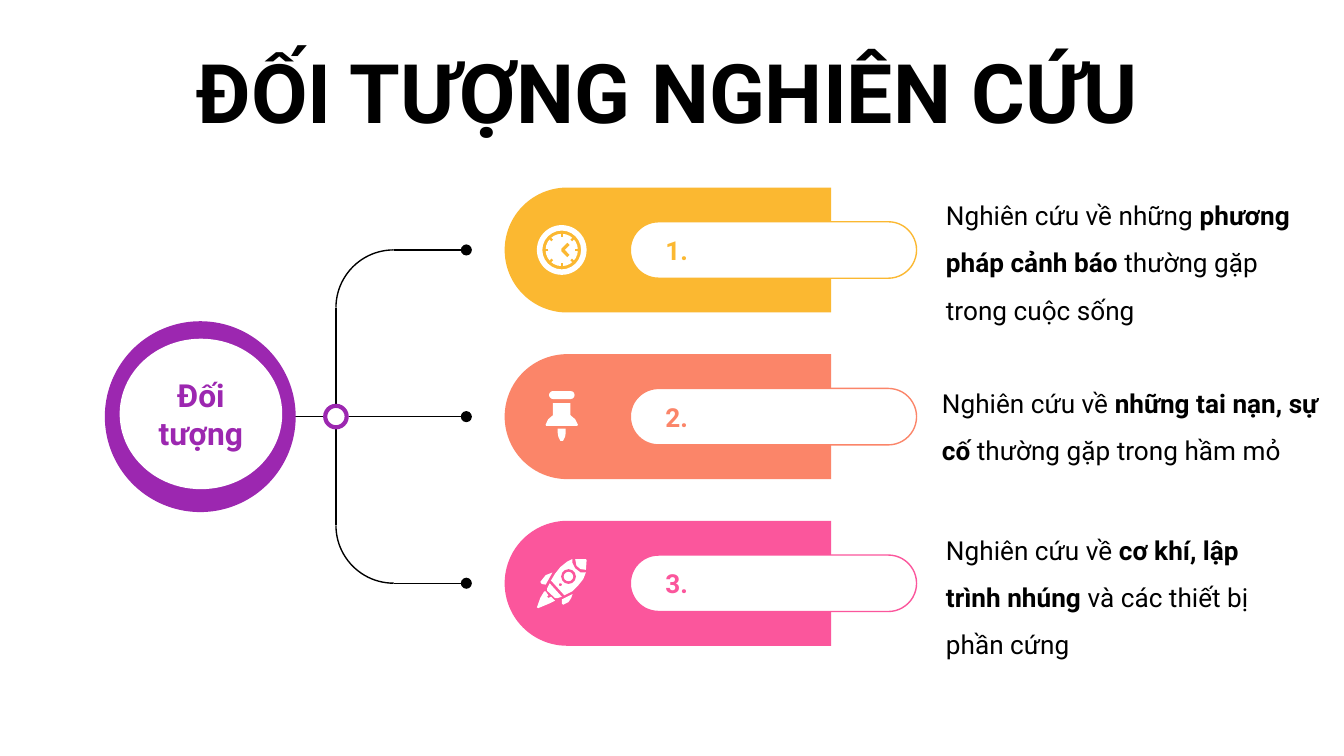
import math

from lxml import etree
from pptx import Presentation
from pptx import util as u
from pptx.dml.color import RGBColor
from pptx.enum import shapes, text
from pptx.oxml.ns import qn

COLORS = {"black": "000000", "white": "FFFFFF", "purple": "9C27B0",
          "amber": "FBB831", "coral": "FB8569", "pink": "FB569C"}
FONT = "Roboto"
KIND = shapes.MSO_SHAPE
TOP, MIDDLE = text.MSO_ANCHOR.TOP, text.MSO_ANCHOR.MIDDLE
LEFT, CENTER = text.PP_ALIGN.LEFT, text.PP_ALIGN.CENTER

FIRST_ROW, ROW_STEP = 1.86, 1.24
ROWS = [FIRST_ROW + i * ROW_STEP for i in range(3)]
TRUNK_X, BEND, DOT_X = 2.5, 0.43, 3.47
ICON_X = 4.18
TIGHT, EVEN = (0.1, 0.05, 0.1, 0.05), (0.1, 0.1, 0.1, 0.1)


def rgb(name):
    return RGBColor.from_string(COLORS[name])


def write(frame, words, size=14, color="black", bold=False, align=LEFT,
          anchor=TOP, spacing=None, insets=TIGHT):
    """Fill a text frame; parts between ** marks are bold."""
    frame.word_wrap = True
    frame.auto_size = text.MSO_AUTO_SIZE.NONE
    frame.vertical_anchor = anchor
    (frame.margin_left, frame.margin_top,
     frame.margin_right, frame.margin_bottom) = map(u.Inches, insets)
    para = frame.paragraphs[0]
    para.alignment = align
    if spacing:
        para.line_spacing = spacing
    for i, part in enumerate(words.split("**")):
        span = para.add_run()
        span.text = part
        span.font.name = FONT
        span.font.size = u.Pt(size)
        span.font.bold = bold or i % 2 == 1
        span.font.color.rgb = rgb(color)


class Slide:
    def __init__(self, deck):
        self.page = deck.slides.add_slide(deck.slide_layouts[5])
        self.shapes = self.page.shapes

    def paint(self, shape, fill=None, line=None, weight=0.75):
        shape.shadow.inherit = False
        if fill:
            shape.fill.solid()
            shape.fill.fore_color.rgb = rgb(fill)
        else:
            shape.fill.background()
        if line:
            shape.line.color.rgb = rgb(line)
            shape.line.width = u.Pt(weight)
        else:
            shape.line.fill.background()
        return shape

    def title(self, words, left, top, width, height, **style):
        box = self.shapes.title
        box.left, box.top, box.width, box.height = map(
            u.Inches, (left, top, width, height))
        write(box.text_frame, words, **style)

    def shape(self, kind, left, top, width, height, adjust=(), **style):
        shape = self.shapes.add_shape(
            kind, *map(u.Inches, (left, top, width, height)))
        for i, value in enumerate(adjust):
            shape.adjustments[i] = value
        return self.paint(shape, **style)

    def centered(self, kind, x, y, width, height, **style):
        return self.shape(kind, x - width / 2, y - height / 2, width, height, **style)

    def text(self, words, left, top, width, height, **style):
        box = self.shapes.add_textbox(*map(u.Inches, (left, top, width, height)))
        write(box.text_frame, words, **style)

    def line(self, x1, y1, x2, y2, color="black", weight=0.75, dot=False):
        line = self.shapes.add_connector(
            shapes.MSO_CONNECTOR.STRAIGHT, *map(u.Inches, (x1, y1, x2, y2)))
        line.line.color.rgb = rgb(color)
        line.line.width = u.Pt(weight)
        if dot:
            outline = line._element.spPr.find(qn("a:ln"))
            etree.SubElement(outline, qn("a:tailEnd"), type="oval")
        etree.SubElement(line._element.spPr, qn("a:effectLst"))

    def outline(self, x, y, points, close=True, **style):
        """Draw a polygon whose points are hundredths of an inch from (x, y)."""
        # The builder keeps whole numbers only, so it counts in EMU.
        spots = [(u.Inches(x + dx / 100), u.Inches(y + dy / 100))
                 for dx, dy in points]
        builder = self.shapes.build_freeform(*spots[0])
        builder.add_line_segments(spots[1:], close=close)
        self.paint(builder.convert_to_shape(), **style)


def draw_clock(slide, x, y, color):
    slide.centered(KIND.DONUT, x, y, 0.37, 0.37, adjust=[0.11], fill="white")
    slide.centered(KIND.OVAL, x, y, 0.24, 0.24, fill="white")
    for i in range(8):
        dx, dy = math.cos(i * math.pi / 4), math.sin(i * math.pi / 4)
        slide.line(x + 0.1 * dx, y + 0.1 * dy, x + 0.13 * dx, y + 0.13 * dy,
                   color=color, weight=1.25)
    slide.outline(x, y, [(5, -4.5), (0.5, 0), (5, 4.5)], close=False,
                  line=color, weight=1.75)


def draw_pin(slide, x, y, color):
    slide.centered(KIND.ROUNDED_RECTANGLE, x, y - 0.16, 0.19, 0.06,
                   adjust=[0.5], fill="white")
    slide.outline(x, y, [(-6.5, -10), (-6.5, -1), (-10, 2), (-12, 6), (-11.5, 7),
                         (11.5, 7), (12, 6), (10, 2), (6.5, -1), (6.5, -10)],
                  fill="white")
    slide.outline(x, y, [(-3, 9), (-3, 12), (-2.5, 15), (-1, 18), (1, 18),
                         (2.5, 15), (3, 12), (3, 9)], fill="white")


def draw_rocket(slide, x, y, color):
    parts = [
        [(8, -18), (4, -16), (-1, -12), (-5, -7), (-8, -2), (2, 9),
         (8, 6), (12, 2), (16, -3), (18, -8), (14, -8), (10, -11),
         (8, -15)],                                                   # body
        [(10, -18), (18, -18), (18.5, -17), (18, -10), (14, -10.5),
         (11, -13)],                                                  # nose
        [(-9, 0), (-11, 4), (-11, 5.5), (-5, 11), (-3, 11), (0, 10)],  # base
        [(-7, -8), (-12, -6), (-16, -1), (-15, 0.5), (-12, 1)],       # left fin
        [(8, 8), (0, 12), (0, 15), (1, 16), (5, 14), (7, 11)],        # lower fin
        [(-13, 6), (-16, 11), (-18.5, 18), (-17.5, 18.5), (-9, 15),
         (-5, 13), (-8, 10), (-10, 11), (-11, 10), (-10, 9), (-12, 6)],  # flame
    ]
    for points in parts:
        slide.outline(x, y, points, fill="white")
    slide.centered(KIND.OVAL, x + 0.05, y - 0.05, 0.11, 0.11, fill=color)
    slide.centered(KIND.OVAL, x + 0.05, y - 0.05, 0.07, 0.07, fill="white")
    slide.centered(KIND.OVAL, x - 0.01, y + 0.01, 0.02, 0.02, fill=color)


def draw_row(slide, number, y, color, draw_icon):
    panel = slide.centered(KIND.ROUND_2_SAME_RECTANGLE, 4.97, y, 0.93, 2.43,
                           adjust=[0.5, 0], fill=color)
    panel.rotation = 270
    pill = slide.shape(KIND.ROUNDED_RECTANGLE, 4.69, y - 0.21, 2.13, 0.42,
                       adjust=[0.5], fill="white", line=color)
    write(pill.text_frame, f"{number}.", color=color, bold=True, anchor=MIDDLE,
          insets=(0.2, 0.1, 0.1, 0.1))
    draw_icon(slide, ICON_X, y, color)


def draw_branches(slide):
    top, middle, bottom = ROWS
    # An arc's angles are in units of 100000 / 60000 degree: 54 is 90 degrees.
    for y, arc_top, toward, angles in (
            (top, top, BEND, (108, 162)),
            (bottom, bottom - 2 * BEND, -BEND, (54, 108))):
        slide.shape(KIND.ARC, TRUNK_X, arc_top, 2 * BEND, 2 * BEND,
                    adjust=angles, line="black")
        slide.line(TRUNK_X + BEND, y, DOT_X, y, dot=True)
        slide.line(TRUNK_X, y + toward, TRUNK_X, middle)
    slide.line(1.75, middle, DOT_X, middle, dot=True)
    slide.centered(KIND.OVAL, TRUNK_X, middle, 0.16, 0.16,
                   fill="white", line="purple", weight=2.25)
    slide.centered(KIND.OVAL, 1.49, middle, 1.42, 1.42, fill="purple")
    hub = slide.shape(KIND.OVAL, 0.89, 2.52, 1.21, 1.12, fill="white")
    write(hub.text_frame, "Đối tượng", size=17, color="purple", bold=True,
          align=CENTER, anchor=MIDDLE, insets=EVEN)


def main():
    deck = Presentation()
    deck.slide_width, deck.slide_height = u.Inches(10), u.Inches(45 / 8)
    slide = Slide(deck)
    slide.title("ĐỐI TƯỢNG NGHIÊN CỨU", 1.13, 0.26, 7.68, 0.84,
                size=44, bold=True, align=CENTER)
    rows = [("amber", draw_clock), ("coral", draw_pin), ("pink", draw_rocket)]
    for number, (y, (color, draw_icon)) in enumerate(zip(ROWS, rows), 1):
        draw_row(slide, number, y, color, draw_icon)
    draw_branches(slide)
    details = [
        ("Nghiên cứu về những **phương pháp cảnh báo** thường gặp trong cuộc sống",
         (6.94, 1.27, 2.9, 0.58), EVEN),
        ("Nghiên cứu về **những tai nạn, sự cố **thường gặp trong hầm mỏ",
         (6.91, 2.72, 3.09, 0.77), TIGHT),
        ("Nghiên cứu về **cơ khí, lập trình nhúng** và các thiết bị phần cứng",
         (6.94, 3.81, 2.68, 1.12), TIGHT),
    ]
    for words, place, insets in details:
        slide.text(words, *place, spacing=1.5, insets=insets)
    deck.save("out.pptx")


if __name__ == "__main__":
    main()
